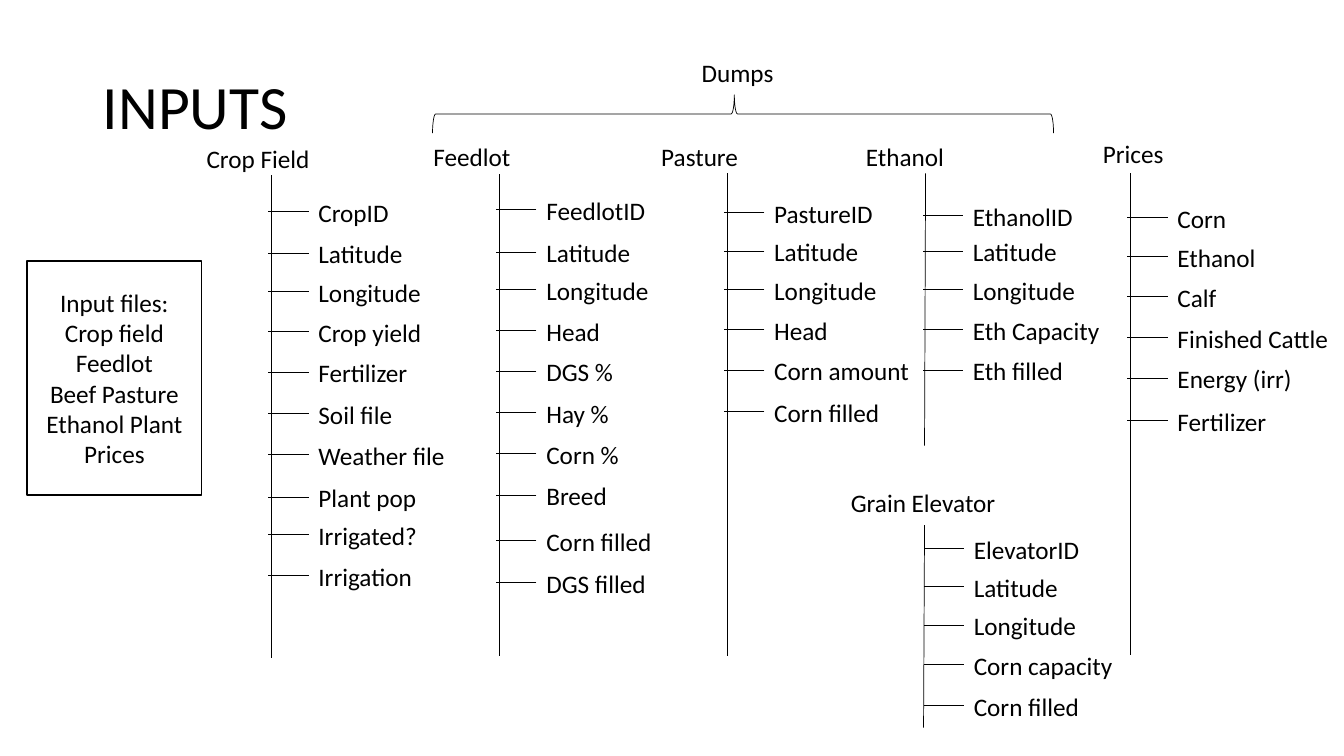
from lxml import etree
from pptx import Presentation
from pptx.dml.color import RGBColor
from pptx.enum.shapes import MSO_CONNECTOR as CONNECTOR, MSO_SHAPE as SHAPE
from pptx.enum.text import MSO_ANCHOR as ANCHOR, MSO_AUTO_SIZE as AUTO, PP_ALIGN as ALIGN
from pptx.oxml.ns import qn
from pptx.util import Pt

PX = 9144  # 100 px to the inch
FONT, BLACK, WHITE = "Calibri", "000000", "FFFFFF"
LABEL_W, LABEL_H, HEADING_W, TICK_W, LABEL_RISE = 209, 40, 149, 40, 19

TITLE = "INPUTS"
INPUT_FILES = ["Input files:", "Crop field", "Feedlot", "Beef Pasture",
               "Ethanol Plant", "Prices"]
DUMPS = ("Dumps", 686, 52, HEADING_W)

# heading (text, left, top, width), trunk (top x, top y, bottom x, bottom y),
# left end of the ticks, items (text, tick y)
BRANCHES = [
    (("Crop Field", 195, 137, HEADING_W), (269, 174, 269, 653), 266, [
        ("CropID", 210), ("Latitude", 251), ("Longitude", 289),
        ("Crop yield", 329), ("Fertilizer", 369), ("Soil file", 410),
        ("Weather file", 451), ("Plant pop", 493), ("Irrigated?", 530),
        ("Irrigation", 571)]),
    (("Feedlot", 420, 135, HEADING_W), (495, 173, 495, 651), 492, [
        ("FeedlotID", 208), ("Latitude", 250), ("Longitude", 287),
        ("Head", 328), ("DGS %", 368), ("Hay %", 409), ("Corn %", 450),
        ("Breed", 491), ("Corn filled", 536), ("DGS filled", 578)]),
    (("Pasture", 646, 135, HEADING_W), (721, 172, 721, 651), 718, [
        ("PastureID", 211), ("Latitude", 249), ("Longitude", 287),
        ("Head", 327), ("Corn amount", 367), ("Corn filled", 408)]),
    (("Ethanol", 849, 135, HEADING_W), (918, 172, 917, 442), 915, [
        ("EthanolID", 214), ("Latitude", 249), ("Longitude", 287),
        ("Eth Capacity", 327), ("Eth filled", 367)]),
    (("Prices", 1084, 132, HEADING_W), (1121, 172, 1121, 650), 1118, [
        ("Corn", 216), ("Ethanol", 254), ("Calf", 294),
        ("Finished Cattle", 335), ("Energy (irr)", 375), ("Fertilizer", 417)]),
    (("Grain Elevator", 834, 479, 166), (917, 521, 916, 722), 916, [
        ("ElevatorID", 544), ("Latitude", 582), ("Longitude", 620),
        ("Corn capacity", 659), ("Corn filled", 700)]),
]


def px(*lengths):
    return [n * PX for n in lengths]


def rgb(value):
    return RGBColor.from_string(value)


def add_run(p, text, size=18):
    r = p.add_run()
    r.text = text
    r.font.name, r.font.size = FONT, Pt(size)
    r.font.color.rgb = rgb(BLACK)


def add_label(s, text, left, top, width):
    tf = s.shapes.add_textbox(*px(left, top, width, LABEL_H)).text_frame
    tf.word_wrap = True
    tf.auto_size = AUTO.SHAPE_TO_FIT_TEXT
    add_run(tf.paragraphs[0], text)


def set_line(sp, width):
    sp.line.color.rgb = rgb(BLACK)
    sp.line.width = Pt(width)


def add_line(s, x1, y1, x2, y2):
    line = s.shapes.add_connector(CONNECTOR.STRAIGHT, *px(x1, y1, x2, y2))
    set_line(line, 0.5)
    etree.SubElement(line._element.spPr, qn("a:effectLst"))


def add_title(s):
    sp = s.shapes.title
    sp.left, sp.top, sp.width, sp.height = px(92, 36, 1150, 145)
    tf = sp.text_frame
    tf.auto_size = AUTO.NONE
    tf.vertical_anchor = ANCHOR.MIDDLE
    p = tf.paragraphs[0]
    p.alignment, p.line_spacing = ALIGN.LEFT, 0.9
    add_run(p, TITLE, 44)


def add_input_files(s):
    sp = s.shapes.add_shape(SHAPE.RECTANGLE, *px(27, 259, 173, 232))
    sp.shadow.inherit = False
    sp.fill.solid()
    sp.fill.fore_color.rgb = rgb(WHITE)
    set_line(sp, 1)
    tf = sp.text_frame
    tf.word_wrap = True
    tf.vertical_anchor = ANCHOR.MIDDLE
    for i, text in enumerate(INPUT_FILES):
        p = tf.add_paragraph() if i else tf.paragraphs[0]
        p.alignment = ALIGN.CENTER
        add_run(p, text)


def add_branch(s, heading, trunk, tick_left, items):
    add_label(s, *heading)
    add_line(s, *trunk)
    tick_right = tick_left + TICK_W
    for text, y in items:
        add_line(s, tick_right, y, tick_left, y)
        add_label(s, text, tick_right, y - LABEL_RISE, LABEL_W)


def add_brace(s):
    sp = s.shapes.add_shape(SHAPE.RIGHT_BRACE, *px(718, -195, 38, 616))
    sp.rotation = 270
    sp.adjustments[0], sp.adjustments[1] = 0.083, 0.486
    sp.shadow.inherit = False
    sp.fill.background()
    set_line(sp, 0.5)


def main():
    prs = Presentation()
    prs.slide_width, prs.slide_height = px(1333, 750)
    s = prs.slides.add_slide(prs.slide_layouts[5])
    add_title(s)
    add_input_files(s)
    for branch in BRANCHES:
        add_branch(s, *branch)
    add_label(s, *DUMPS)
    add_brace(s)
    prs.save("out.pptx")


if __name__ == "__main__":
    main()
